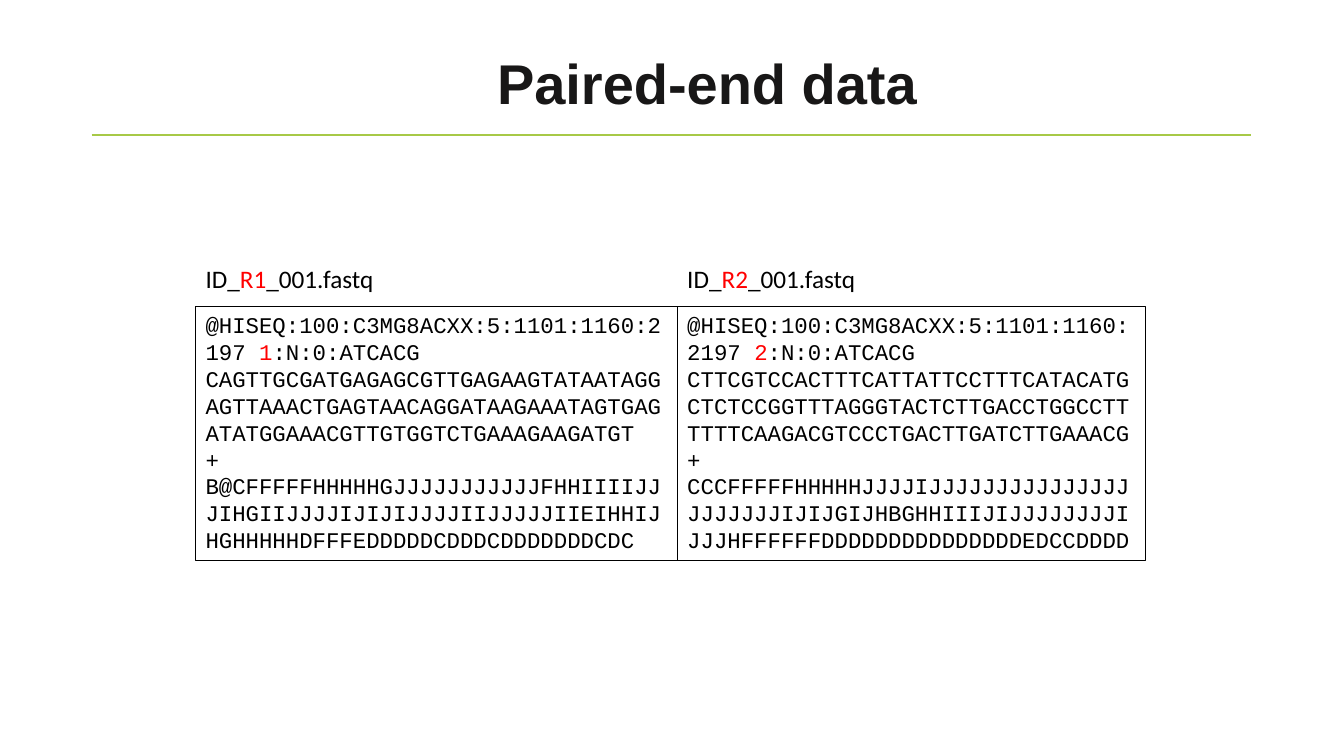
from lxml import etree
from pptx import Presentation
from pptx.dml.color import RGBColor
from pptx.enum.shapes import MSO_CONNECTOR, MSO_SHAPE
from pptx.enum.text import MSO_ANCHOR, MSO_AUTO_SIZE, PP_ALIGN
from pptx.oxml.ns import qn
from pptx.util import Cm, Pt

STRAIGHT = MSO_CONNECTOR.STRAIGHT
RECT = MSO_SHAPE.RECTANGLE
TOP, MIDDLE = MSO_ANCHOR.TOP, MSO_ANCHOR.MIDDLE
GROW, FIXED = MSO_AUTO_SIZE.SHAPE_TO_FIT_TEXT, MSO_AUTO_SIZE.NONE
LEFT, CENTER = PP_ALIGN.LEFT, PP_ALIGN.CENTER

BLACK, RED, INK, GREEN = "000000", "FF0000", "181717", "A7C947"

READS = [
    ("1", 12.14,
     "CAGTTGCGATGAGAGCGTTGAGAAGTATAATAGGAGTTAAACTGAGTAACAGGATAAGAAATAGTGAG"
     "ATATGGAAACGTTGTGGTCTGAAAGAAGATGT",
     "B@CFFFFFHHHHHGJJJJJJJJJJJFHHIIIIJJJIHGIIJJJJIJIJIJJJJIIJJJJJIIEIHHIJ"
     "HGHHHHHDFFFEDDDDDCDDDCDDDDDDDCDC"),
    ("2", 11.81,
     "CTTCGTCCACTTTCATTATTCCTTTCATACATGCTCTCCGGTTTAGGGTACTCTTGACCTGGCCTT"
     "TTTTCAAGACGTCCCTGACTTGATCTTGAAACG",
     "CCCFFFFFHHHHHJJJJIJJJJJJJJJJJJJJJJJJJJJJIJIJGIJHBGHHIIIJIJJJJJJJJI"
     "JJJHFFFFFFDDDDDDDDDDDDDDDEDCCDDDD"),
]


def color(code):
    return RGBColor.from_string(code)


def write(shape, lines, font, size, bold=False, align=LEFT, anchor=TOP,
          wrap=True, fit=GROW, space=None):
    """Fill a shape with lines, each a list of (text, colour) runs."""
    frame = shape.text_frame
    frame.word_wrap = wrap
    frame.auto_size = fit
    frame.vertical_anchor = anchor
    for index, line in enumerate(lines):
        para = frame.paragraphs[0] if index == 0 else frame.add_paragraph()
        para.alignment = align
        para.line_spacing = space
        for text, code in line:
            run = para.add_run()
            run.text = text
            run.font.name = font
            run.font.size = Pt(size)
            run.font.bold = bold
            run.font.color.rgb = color(code)


def add_title(slide, text, left, top, width, height):
    box = slide.shapes.add_textbox(Cm(left), Cm(top), Cm(width), Cm(height))
    write(box, [[(text, INK)]], "Arial", 40, bold=True, align=CENTER,
          anchor=MIDDLE, fit=FIXED, space=0.9)


def add_rule(slide, left, top, width):
    rule = slide.shapes.add_connector(
        STRAIGHT, Cm(left), Cm(top), Cm(left + width), Cm(top))
    rule.line.color.rgb = color(GREEN)
    rule.line.width = Pt(1)
    etree.SubElement(rule.element.spPr, qn("a:effectLst"))


def add_read(slide, mate, bases, quality, left, top, width, height):
    """Place a file name with its FASTQ record below it."""
    gap = 1.22
    label = slide.shapes.add_textbox(Cm(left), Cm(top), Cm(4.78), Cm(1.02))
    write(label, [[("ID_", BLACK), ("R" + mate, RED), ("_001.fastq", BLACK)]],
          "Calibri", 18, wrap=False)

    panel = slide.shapes.add_shape(
        RECT, Cm(left), Cm(top + gap), Cm(width), Cm(height - gap))
    panel.shadow.inherit = False
    panel.fill.background()
    panel.line.color.rgb = color(BLACK)
    panel.line.width = Pt(0.75)
    header = [("@HISEQ:100:C3MG8ACXX:5:1101:1160:2197 ", BLACK),
              (mate, RED), (":N:0:ATCACG", BLACK)]
    rest = [[(text, BLACK)] for text in (bases, "+", quality)]
    write(panel, [header] + rest, "Courier New", 16)


def main():
    deck = Presentation()
    deck.slide_width, deck.slide_height = Cm(33.87), Cm(19.05)
    slide = deck.slides.add_slide(deck.slide_layouts[6])
    add_rule(slide, 2.31, 3.4, 29.21)
    add_title(slide, "Paired-end data", 6.83, 1.02, 21.97, 2.31)
    left = 4.93
    for mate, width, bases, quality in READS:
        add_read(slide, mate, bases, quality, left, 6.5, width, 7.62)
        left += width
    deck.save("out.pptx")


if __name__ == "__main__":
    main()
